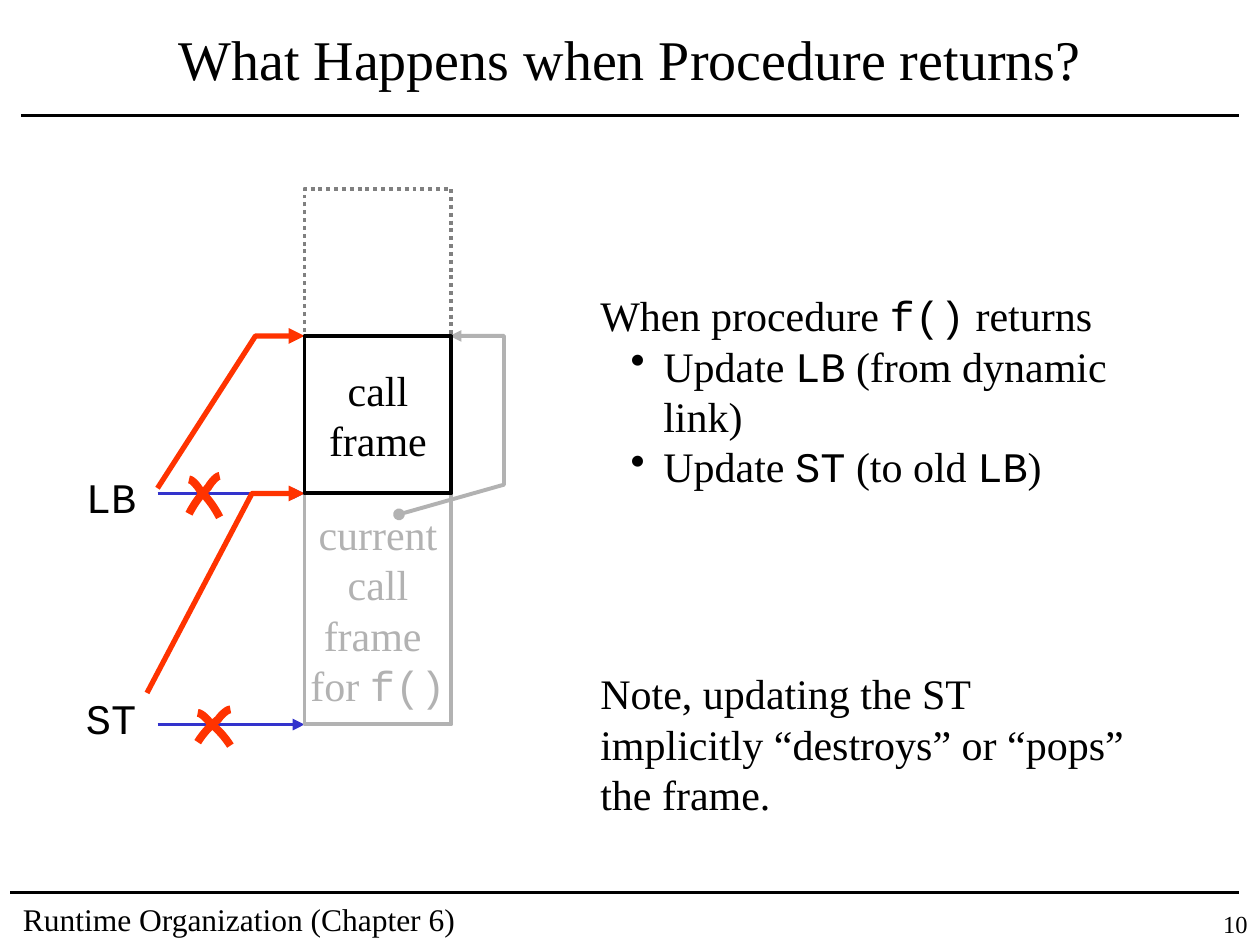
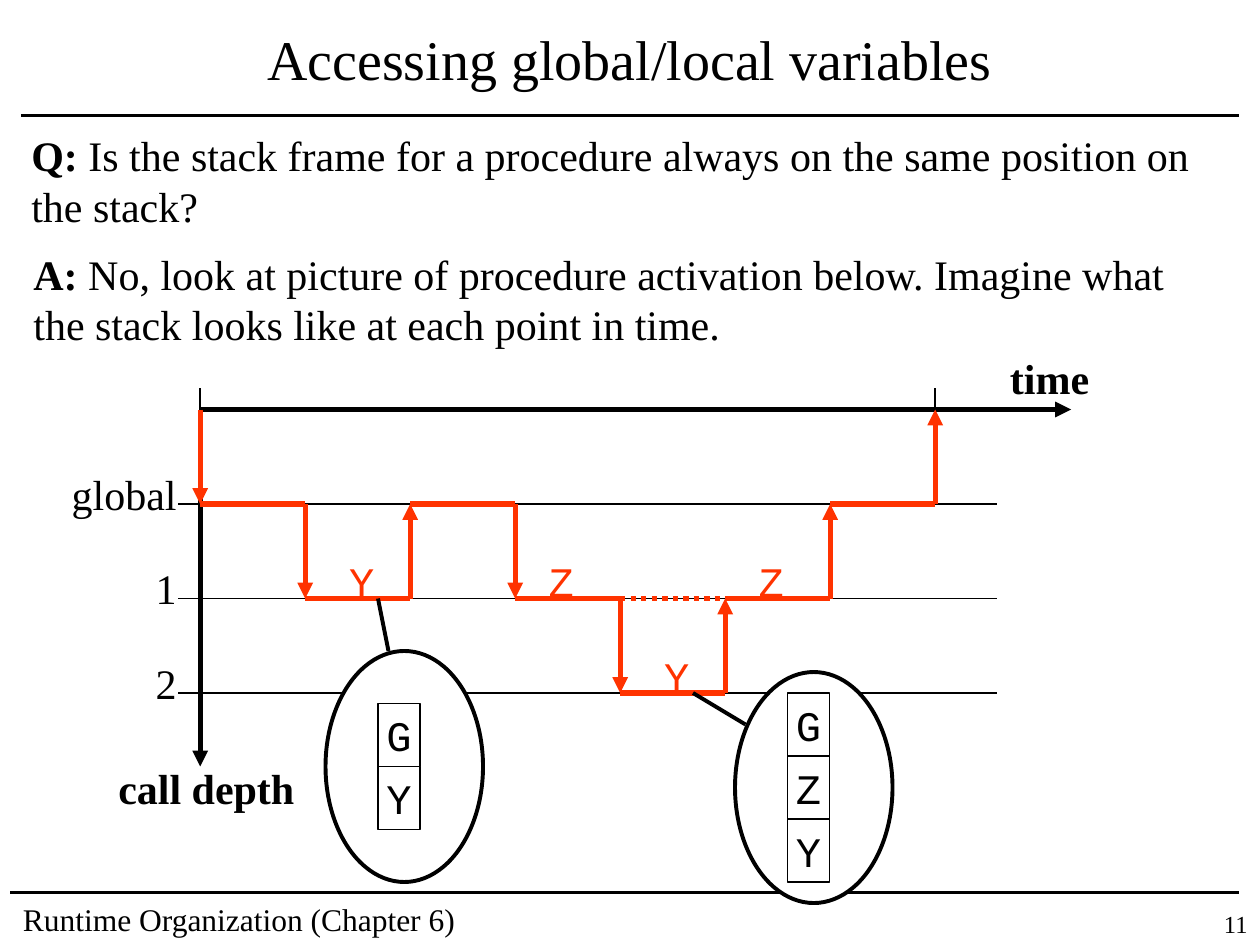
from pptx import Presentation
from pptx.dml.color import RGBColor
from pptx.enum.dml import MSO_LINE
from pptx.enum.shapes import MSO_CONNECTOR, MSO_SHAPE
from pptx.enum.text import MSO_ANCHOR, MSO_AUTO_SIZE, PP_ALIGN
from pptx.oxml.ns import qn
from pptx.util import Pt
from lxml import etree

BLACK = RGBColor(0x00, 0x00, 0x00)
WHITE = RGBColor(0xFF, 0xFF, 0xFF)
RED = RGBColor(0xFF, 0x33, 0x00)
BLUE = RGBColor(0x33, 0x33, 0xCC)
DIM = RGBColor(0xB2, 0xB2, 0xB2)
GRAY = RGBColor(0x80, 0x80, 0x80)

LEFT, MID, RIGHT = PP_ALIGN.LEFT, PP_ALIGN.CENTER, PP_ALIGN.RIGHT
TOP, CENTER = MSO_ANCHOR.TOP, MSO_ANCHOR.MIDDLE
DOT = MSO_LINE.ROUND_DOT
STRAIGHT = MSO_CONNECTOR.STRAIGHT
RECT, OVAL = MSO_SHAPE.RECTANGLE, MSO_SHAPE.OVAL
FIXED = MSO_AUTO_SIZE.NONE

BODY = {"name": "Times New Roman", "size": Pt(24), "bold": False}
BOLD = BODY | {"bold": True}
CODE = BODY | {"name": "Courier New"}
HEAD = BODY | {"size": Pt(32)}
FOOT = BODY | {"size": Pt(18)}
PAGE = BODY | {"size": Pt(14)}

ARM = (((0, 1), (.17, .73), (.38, .5), (.63, .3)),
       ((.63, .3), (.67, .23), (.88, 0), (1, 0)))
STEPS = ((0, ""), (1, "Y"), (0, ""), (1, "Z"), (2, "Y"), (1, "Z"), (0, ""))
SHIFT = {"Y": 18, "Z": 12}


def style(item, values):
    for key, value in values.items():
        setattr(item, key, value)


def points(*values):
    return [Pt(value) for value in values]


def ink(line, color, width, dash=None, head=None, tail=None):
    line.color.rgb = color
    line.width = Pt(width)
    if dash:
        line.dash_style = dash
    for tag, kind in (("a:headEnd", head), ("a:tailEnd", tail)):
        if kind:
            etree.SubElement(line._ln, qn(tag), type=kind)


def rule(slide, start, end, color=BLACK, width=2.25, **ends):
    line = slide.shapes.add_connector(STRAIGHT, *points(*start, *end))
    etree.SubElement(line._element.spPr, qn("a:effectLst"))
    ink(line.line, color, width, **ends)


def bend(slide, spots, color, width, **ends):
    spots = [points(*spot) for spot in spots]
    draft = slide.shapes.build_freeform(*spots[0])
    draft.add_line_segments(spots[1:], close=False)
    shape = draft.convert_to_shape()
    shape.shadow.inherit = False
    shape.fill.background()
    ink(shape.line, color, width, **ends)


def bullet(para):
    para.level = 1
    props = para._p.get_or_add_pPr()
    props.set("marL", str(Pt(36)))
    props.set("indent", str(Pt(-18.72)))
    tint = etree.SubElement(props, qn("a:buClr"))
    etree.SubElement(tint, qn("a:srgbClr"), val=str(BLACK))
    etree.SubElement(props, qn("a:buChar"), char="•")


def write(frame, paras, color=BLACK, align=LEFT, anchor=TOP, wrap=True, dots=()):
    style(frame, {"auto_size": FIXED, "word_wrap": wrap, "vertical_anchor": anchor})
    for i, runs in enumerate(paras):
        para = frame.add_paragraph() if i else frame.paragraphs[0]
        para.alignment = align
        if i in dots:
            bullet(para)
        for text, look in runs:
            run = para.add_run()
            run.text = text
            style(run.font, look)
            run.font.color.rgb = color


def label(slide, box, paras, **looks):
    write(slide.shapes.add_textbox(*points(*box)).text_frame, paras, **looks)


def block(slide, kind, box, color, width, paras=(), dash=None, tint=BLACK):
    shape = slide.shapes.add_shape(kind, *points(*box))
    shape.shadow.inherit = False
    shape.fill.solid()
    shape.fill.fore_color.rgb = WHITE
    ink(shape.line, color, width, dash)
    if paras:
        write(shape.text_frame, paras, tint, MID, CENTER, False)


def base(deck, title, page):
    slide = deck.slides.add_slide(deck.slide_layouts[5])
    rule(slide, (12, 66), (708, 66))
    rule(slide, (6, 510), (708, 510))
    head = slide.shapes.title
    style(head, dict(zip(("left", "top", "width", "height"), points(18, 6, 684, 54))))
    write(head.text_frame, [[(title, HEAD)]], align=MID, anchor=CENTER)
    label(slide, (6, 511, 276, 29), [[("Runtime Organization (Chapter 6)", FOOT)]])
    label(slide, (666, 516, 54, 24), [[(str(page), PAGE)]], align=RIGHT)
    return slide


def curve(a, b, c, d, count=8):
    for i in range(count + 1):
        t = i / count
        u = 1 - t
        yield tuple(u**3 * p + 3 * u * u * t * q + 3 * u * t * t * r + t**3 * s
                    for p, q, r, s in zip(a, b, c, d))


def cross(slide, box):
    x, y, w, h = box
    arm = [spot for part in ARM for spot in curve(*part)]
    bend(slide, [(x + w * u, y + h * v) for u, v in arm], RED, 4.5)
    bend(slide, [(x + w * (1 - u), y + 2 + h * v) for u, v in arm], RED, 4.5)


def stack(slide, box):
    x, y, w, h = box
    left, right = x + 132, x + w - 30
    wide = right - left
    call, now, end = y + 84, y + 174, y + h
    for name, drop, mark in (("LB", now - 16, now), ("ST", end - 22, end)):
        label(slide, (x, drop, 43.2, 36), [[(name, CODE)]], wrap=False)
        rule(slide, (x + 48, mark), (left, mark), BLUE, tail="triangle")
    block(slide, RECT, (left, y, wide, now - y), GRAY, 2.25, dash=DOT)
    cross(slide, (x + 66, now - 10, 17.5, 21.6))
    bend(slide, [(x + 48, now - 3), (left - 28, call), (left, call)],
         RED, 3, tail="triangle")
    block(slide, RECT, (left, now, wide, end - now), DIM, 2.25,
          [[("current", BODY)], [("call", BODY)], [("frame ", BODY)],
           [("for ", BODY), ("f()", CODE)]], tint=DIM)
    bend(slide, [(left + 54, now + 12), (x + w, now - 5), (x + w, call),
                 (right - 1, call)], DIM, 2.25, head="oval", tail="triangle")
    bend(slide, [(x + 42, now + 114), (left - 30, now), (left, now)],
         RED, 3, tail="triangle")
    cross(slide, (x + 71, end - 8.6, 18.7, 18.7))
    block(slide, RECT, (left, call, wide, now - call), BLACK, 2.25,
          [[("call", BODY)], [("frame", BODY)]])


def notes(slide, box):
    x, y, w, h = box
    label(slide, (x, y, w, 151),
          [[("When procedure ", BODY), ("f()", CODE), (" returns", BODY)],
           [("Update ", BODY), ("LB", CODE), (" (from dynamic link)", BODY)],
           [("Update ", BODY), ("ST", CODE), (" (to old ", BODY),
            ("LB", CODE), (")", BODY)]], dots=(1, 2))
    label(slide, (x, y + h - 94, w, 94),
          [[("Note, updating the ST implicitly “destroys” or “pops” the frame.", BODY)]])


def quiz(slide, box):
    x, y, w, h = box
    label(slide, (x, y, w, 94),
          [[("Q: ", BOLD), ("Is the stack frame for a procedure always on "
                            "the same position on the stack?", BODY)]])
    label(slide, (x + 1.2, y + h - 65, w - 31, 65),
          [[("A: ", BOLD), ("No, look at picture of procedure activation below. "
                            "Imagine what the stack looks like at each point in time.",
                            BODY)]])


def graph(slide, box):
    x, y, w, h = box
    zero, axis, step, drop = x + 12.4, y + 12, 60, 54

    def level(depth):
        return axis + drop * (depth + 1)

    for depth, (name, wide) in enumerate((("global", 74), ("1", 26), ("2", 26))):
        row = level(depth)
        rule(slide, (x, row), (x + 468, row), width=.75)
        label(slide, (x + 6 - wide, row - 24, wide, 36), [[(name, BODY)]],
              align=RIGHT, wrap=False)
    rule(slide, (zero, axis), (x + w, axis), width=3, tail="triangle")
    rule(slide, (zero, axis), (zero, y + h), width=3, tail="triangle")
    label(slide, (x + 468, axis - 36, 60, 36), [[("time", BOLD)]], wrap=False)
    label(slide, (x - 41.5, y + h - 6, 115, 36), [[("call depth", BOLD)]], wrap=False)
    for col in (0, len(STEPS)):
        rule(slide, (zero + step * col, axis), (zero + step * col, y), width=1)

    last = -1
    for col, (depth, name) in enumerate(STEPS + ((-1, ""),)):
        here, row = zero + step * col, level(depth)
        rule(slide, (here, level(last)), (here, row), RED, 3, tail="triangle")
        if depth >= 0:
            rule(slide, (here, row), (here + step, row), RED, 3)
        if depth == 2:
            rule(slide, (here, level(1)), (here + step, level(1)), RED, 3, dash=DOT)
        if name:
            label(slide, (here + SHIFT[name], row - 28, 28.8, 36),
                  [[(name, CODE)]], color=RED, wrap=False)
        last = depth


def balloon(slide, box, names, start, end):
    x, y, w, h = box
    block(slide, OVAL, box, BLACK, 2.25)
    rule(slide, (x + start[0], y + start[1]), (x + end[0], y + end[1]))
    top = y + (h - 36 * len(names)) / 2
    for i, name in enumerate(names):
        block(slide, RECT, (x + 30, top + 36 * i, 24, 36), BLACK, .75,
              [[(name, CODE)]])


def main():
    deck = Presentation()
    deck.slide_width, deck.slide_height = points(720, 540)

    slide = base(deck, "What Happens when Procedure returns?", 10)
    stack(slide, (42, 108, 246, 306))
    notes(slide, (336, 162, 318, 310))

    slide = base(deck, "Accessing global/local variables", 11)
    quiz(slide, (10.8, 70.6, 697, 132.6))
    graph(slide, (102, 222, 510, 216))
    balloon(slide, (186, 372, 90, 132), "GY", (30, -30), (36, 0))
    balloon(slide, (420, 384, 90, 132), "GZY", (-24, 12), (6, 30))

    deck.save("out.pptx")


if __name__ == "__main__":
    main()
